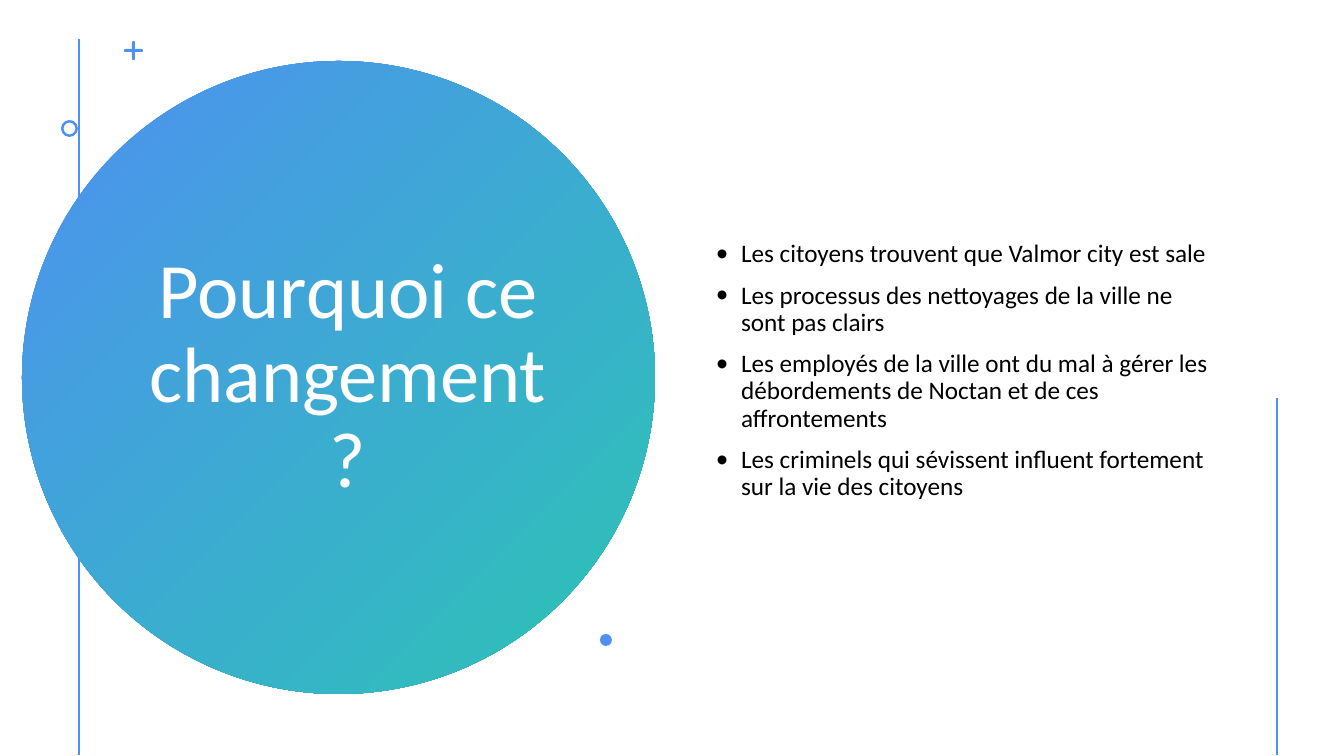
import dataclasses

import lxml.etree
import pptx
import pptx.dml.color
import pptx.enum.shapes
import pptx.enum.text
import pptx.oxml.ns
import pptx.util

PX = 914400 / 100.8
SHAPES = pptx.enum.shapes.MSO_SHAPE


@dataclasses.dataclass(frozen=True)
class Theme:
    blue: str = "4E91F0"
    teal: str = "2CC3B4"
    white: str = "FFFFFF"
    black: str = "000000"
    font: str = "Calibri"
    title_size: int = 56
    body_size: int = 18
    line_width: int = 2


THEME = Theme()
TITLE = "Pourquoi ce changement ?"
REASONS = [
    "Les citoyens trouvent que Valmor city est sale",
    "Les processus des nettoyages de la ville ne sont pas clairs",
    "Les employés de la ville ont du mal à gérer les débordements de Noctan et de ces affrontements",
    "Les criminels qui sévissent influent fortement sur la vie des citoyens",
]


def px(length):
    return pptx.util.Emu(round(length * PX))


def rgb(colour):
    return pptx.dml.color.RGBColor.from_string(colour)


def add_line(page, x, top, bottom):
    line = page.shapes.add_connector(
        pptx.enum.shapes.MSO_CONNECTOR.STRAIGHT, px(x), px(top), px(x), px(bottom)
    )
    line.line.color.rgb = rgb(THEME.blue)
    line.line.width = pptx.util.Pt(THEME.line_width)
    properties = line._element.spPr
    lxml.etree.SubElement(properties, pptx.oxml.ns.qn("a:effectLst"))


def add_figure(page, kind, left, top, width, height):
    figure = page.shapes.add_shape(kind, px(left), px(top), px(width), px(height))
    figure.shadow.inherit = False
    figure.line.fill.background()
    figure.fill.solid()
    figure.fill.fore_color.rgb = rgb(THEME.blue)
    return figure


def add_gradient_circle(page, left, top, size):
    circle = add_figure(page, SHAPES.OVAL, left, top, size, size)
    circle.fill.gradient()
    circle.fill.gradient_angle = 315
    for stop, colour in zip(circle.fill.gradient_stops, (THEME.blue, THEME.teal)):
        stop.color.rgb = rgb(colour)


def add_plus(page, left, top, size, thickness):
    middle = (size - thickness) // 2
    bars = [
        (left, top + middle, size, thickness),
        (left + middle, top, thickness, size),
    ]
    for bar in bars:
        add_figure(page, SHAPES.ROUNDED_RECTANGLE, *bar).adjustments[0] = 0.5


def add_ring(page, left, top, size):
    ring = add_figure(page, SHAPES.DONUT, left, top, size, size)
    ring.adjustments[0] = 0.15


def add_text(page, left, top, width, height, texts, size, colour):
    box = page.shapes.add_textbox(px(left), px(top), px(width), px(height))
    frame = box.text_frame
    frame.word_wrap = True
    frame.vertical_anchor = pptx.enum.text.MSO_ANCHOR.MIDDLE
    frame.text = "\n".join(texts)
    for para in frame.paragraphs:
        para.line_spacing = 0.9
        para.font.name = THEME.font
        para.font.size = pptx.util.Pt(size)
        para.font.color.rgb = rgb(colour)
    return frame.paragraphs


def add_bullet(para):
    para.space_before = pptx.util.Pt(10)
    properties = para._p.get_or_add_pPr()
    indent = pptx.util.Inches(0.25)
    properties.set("marL", str(indent))
    properties.set("indent", str(-indent))
    defaults = properties.find(pptx.oxml.ns.qn("a:defRPr"))
    for tag, attributes in (
        ("a:buFont", {"typeface": THEME.font}),
        ("a:buChar", {"char": "•"}),
    ):
        defaults.addprevious(lxml.etree.Element(pptx.oxml.ns.qn(tag), attributes))


def main():
    deck = pptx.Presentation()
    deck.slide_width = px(1344)
    deck.slide_height = px(756)
    page = deck.slides.add_slide(deck.slide_layouts[6])

    add_line(page, 79, 39, 755)
    add_gradient_circle(page, 22, 61, 633)
    title = add_text(
        page, 119, 142, 458, 471, [TITLE], THEME.title_size, THEME.white
    )
    title[0].alignment = pptx.enum.text.PP_ALIGN.CENTER
    add_plus(page, 124, 41, 19, 3)
    add_ring(page, 61, 120, 17)
    reasons = add_text(
        page, 706, 42, 516, 658, REASONS, THEME.body_size, THEME.black
    )
    for para in reasons:
        add_bullet(para)
    add_figure(page, SHAPES.OVAL, 600, 634, 12, 12)
    add_line(page, 1277, 398, 755)

    deck.save("out.pptx")


if __name__ == "__main__":
    main()
